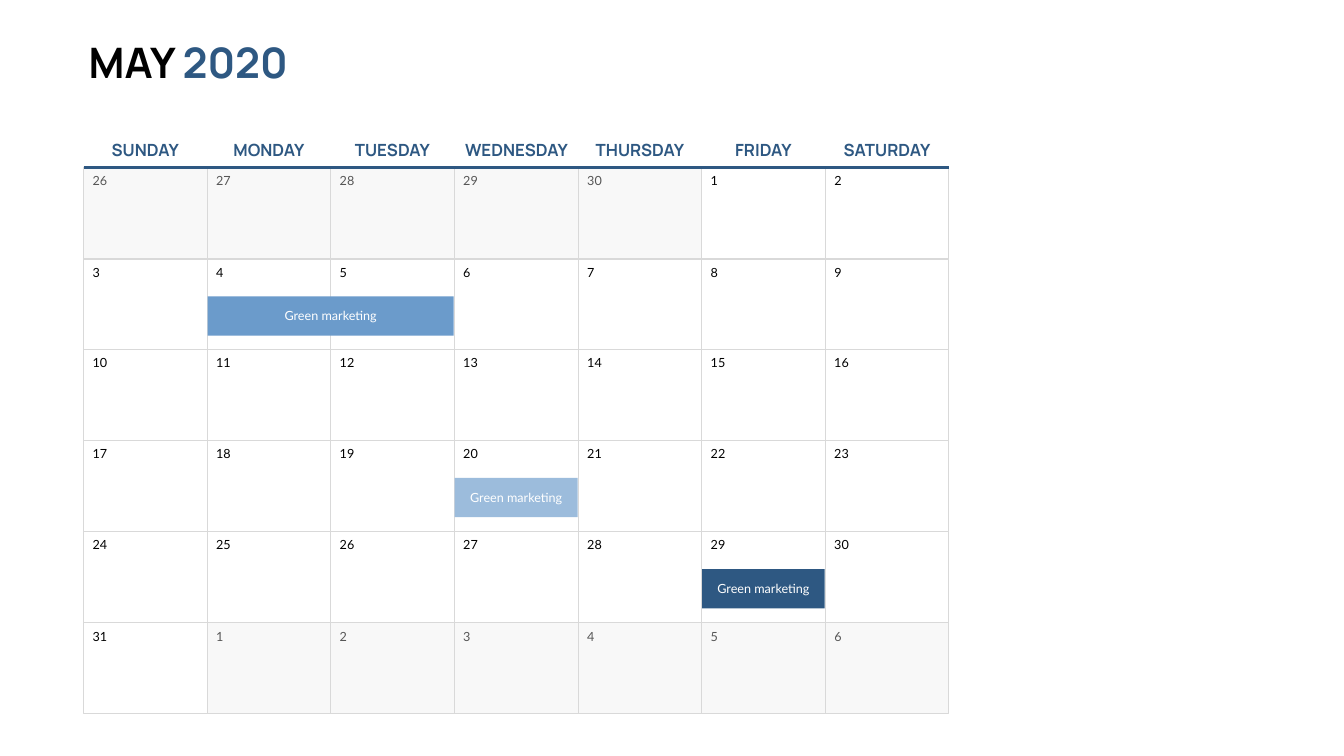
from lxml import etree
from pptx import Presentation
from pptx.dml.color import RGBColor
from pptx.enum.shapes import MSO_CONNECTOR, MSO_SHAPE
from pptx.enum.text import MSO_ANCHOR, MSO_AUTO_SIZE, PP_ALIGN
from pptx.oxml.ns import qn
from pptx.util import Emu, Pt

EMU_PER_PX = 9144  # 100 px to the inch
COLORS = {
    "black": "000000", "white": "FFFFFF", "navy": "2E5882", "blue": "6B9BCB",
    "sky": "9CBCDC", "muted": "F2F2F2", "grid": "D9D9D9", "gray": "565656",
}
LEFT, TOP, GRID_W, GRID_H = 166, 333, 1716, 1083
COLS, ROWS = 7, 6
WEEKDAYS = {"SUNDAY": 162, "MONDAY": 175, "TUESDAY": 175, "WEDNESDAY": 235,
            "THURSDAY": 203, "FRIDAY": 143, "SATURDAY": 203}
DAYS = [*range(26, 31), *range(1, 32), *range(1, 7)]
FIRST, LAST = 5, 35  # positions of 1 and 31 May in DAYS
EVENTS = [  # week, weekday, length in days, side padding, color
    (1, 1, 2, 24, "blue"),
    (3, 3, 1, 16, "sky"),
    (4, 5, 1, 16, "navy"),
]


def px(n):
    return Emu(n * EMU_PER_PX)


def rgb(name):
    return RGBColor.from_string(COLORS[name])


def col_x(col):
    return round(LEFT + GRID_W * col / COLS)


def row_y(row):
    return round(TOP + GRID_H * row / ROWS)


class Calendar:
    def __init__(self, s):
        self.s = s
        self.heading_font = "Manrope"
        self.body_font = "Lato"

    def text(self, x, y, w, h, parts, size, heading=False, align=PP_ALIGN.LEFT,
             anchor=MSO_ANCHOR.MIDDLE, wrap=False, shapes=None):
        """Add a text box; parts is a list of (text, color) runs."""
        box = (shapes or self.s.shapes).add_textbox(px(x), px(y), px(w), px(h))
        tf = box.text_frame
        tf.word_wrap = wrap
        tf.auto_size = MSO_AUTO_SIZE.SHAPE_TO_FIT_TEXT
        tf.vertical_anchor = anchor
        p = tf.paragraphs[0]
        p.alignment = align
        for words, color in parts:
            r = p.add_run()
            r.text = words
            r.font.name = self.heading_font if heading else self.body_font
            r.font.size = Pt(size)
            r.font.bold = heading
            r.font.color.rgb = rgb(color)

    def rect(self, x, y, w, h, fill, line=None, alpha=None, shapes=None):
        sp = (shapes or self.s.shapes).add_shape(
            MSO_SHAPE.RECTANGLE, px(x), px(y), px(w), px(h))
        sp.shadow.inherit = False
        sp.fill.solid()
        sp.fill.fore_color.rgb = rgb(fill)
        if alpha:
            clr = sp._element.spPr.find(qn("a:solidFill"))[0]
            etree.SubElement(clr, qn("a:alpha"), val=str(alpha * 1000))
        if line:
            sp.line.color.rgb = rgb(line)
            sp.line.width = Pt(1.5)
        else:
            sp.line.fill.background()

    def rule(self, x1, x2, y, color, width):
        line = self.s.shapes.add_connector(
            MSO_CONNECTOR.STRAIGHT, px(x1), px(y), px(x2), px(y))
        line.line.color.rgb = rgb(color)
        line.line.width = Pt(width)
        etree.SubElement(line._element.spPr, qn("a:effectLst"))

    def day(self, row, col, number, in_month):
        x, y = col_x(col), row_y(row)
        w, h = col_x(col + 1) - x, row_y(row + 1) - y
        if in_month:
            self.rect(x, y, w, h, "white", "grid")
        else:
            self.rect(x, y, w, h, "muted", "grid", alpha=50)
        label = str(number)
        self.text(x + 8, y + 6, 20 + 15 * len(label), 40,
                  [(label, "black" if in_month else "gray")], 18)

    def weekday(self, col, name, w):
        center = (col_x(col) + col_x(col + 1)) // 2
        self.text(center - w // 2, 272, w, 50, [(name, "navy")], 24,
                  heading=True, align=PP_ALIGN.CENTER)

    def event(self, row, col, days, pad, color, title):
        shapes = self.s.shapes.add_group_shape().shapes
        x, y = col_x(col) + 1, row_y(row) + 74
        w = col_x(col + days) - x - 1
        self.rect(x, y, w, 78, color, shapes=shapes)
        self.text(x + pad, y + 19, w - 2 * pad, 40, [(title, "white")], 18,
                  align=PP_ALIGN.CENTER, anchor=MSO_ANCHOR.TOP, wrap=True,
                  shapes=shapes)


def main():
    prs = Presentation()
    prs.slide_width, prs.slide_height = px(2666), px(1500)
    cal = Calendar(prs.slides.add_slide(prs.slide_layouts[6]))

    cal.text(LEFT, 67, 440, 111, [("MAY ", "black"), ("2020", "navy")], 60,
             heading=True, anchor=MSO_ANCHOR.TOP)
    for i, number in enumerate(DAYS):
        cal.day(*divmod(i, COLS), number, FIRST <= i <= LAST)
    for col, (name, w) in enumerate(WEEKDAYS.items()):
        cal.weekday(col, name, w)
    cal.rule(LEFT, LEFT + GRID_W, TOP, "navy", 4.5)
    for event in EVENTS:
        cal.event(*event, "Green marketing")

    prs.save("out.pptx")


if __name__ == "__main__":
    main()
